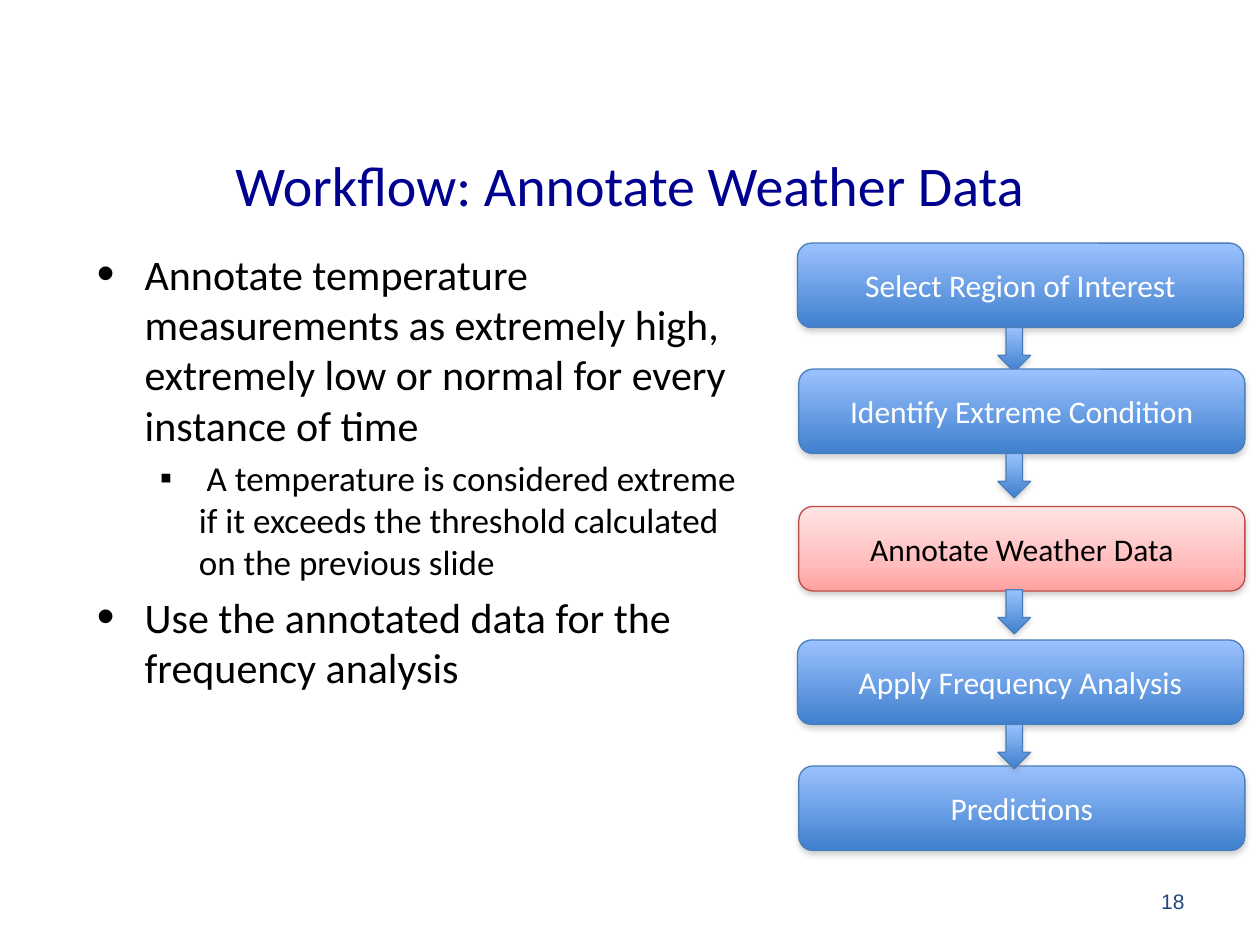
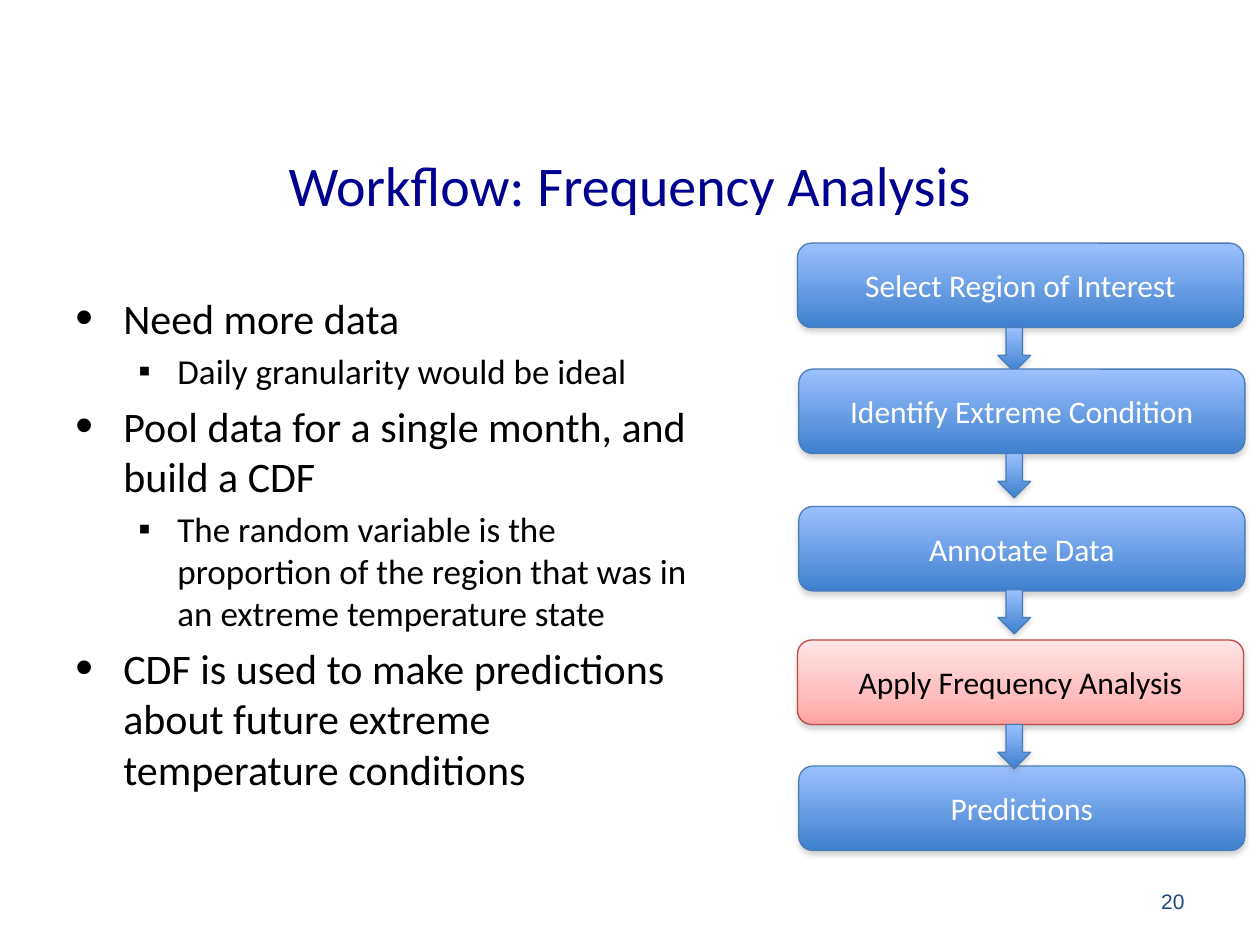
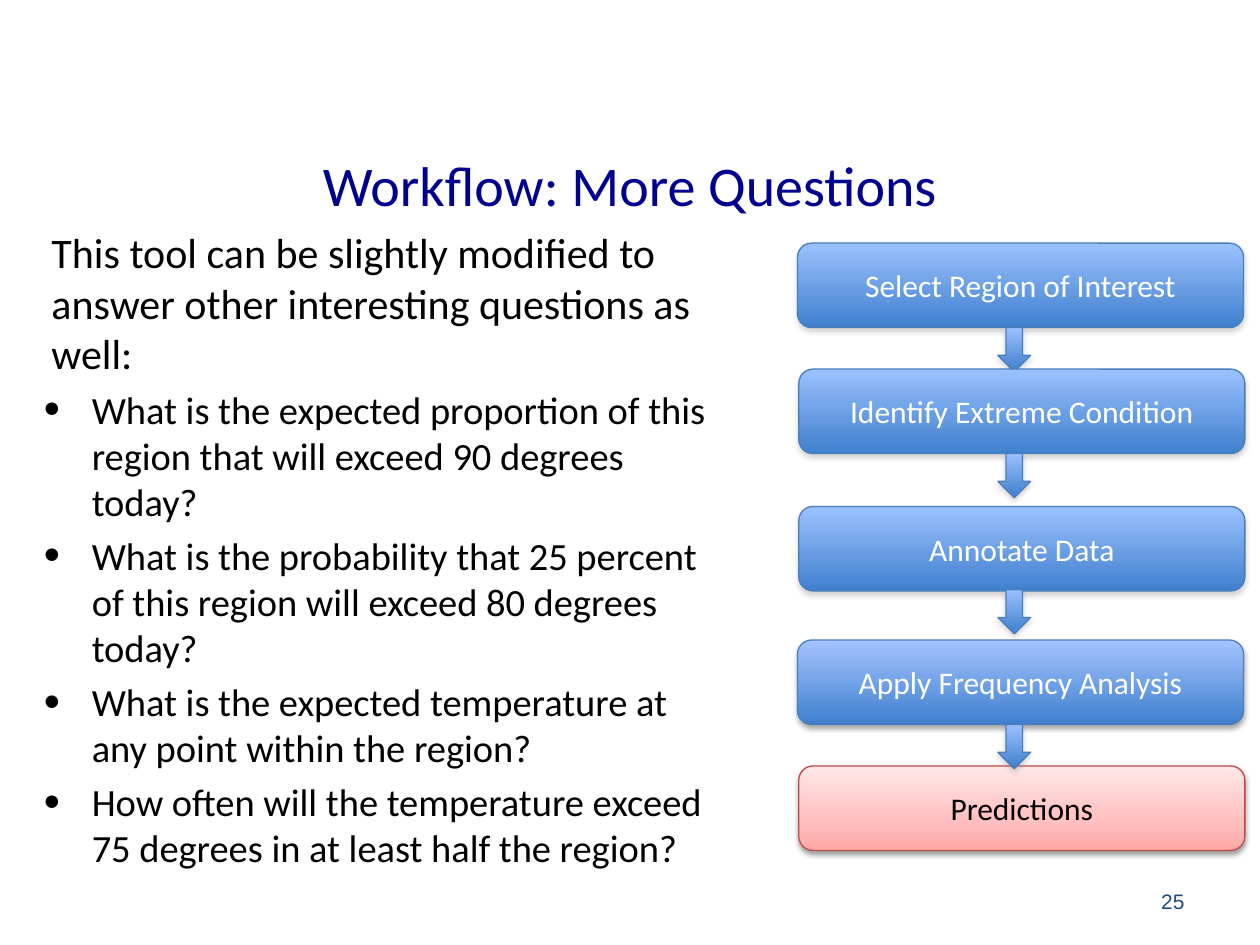
import pptx
import pptx.dml.color
import pptx.enum.shapes
import pptx.enum.text
import pptx.oxml
import pptx.oxml.ns
import pptx.util

Inches = pptx.util.Inches
Kind = pptx.enum.shapes.MSO_SHAPE
Align = pptx.enum.text.PP_ALIGN
Anchor = pptx.enum.text.MSO_ANCHOR


class Theme:
    font = "Calibri"
    num_font = "Arial"
    title, num, text, light = "000090", "1F497D", "000000", "FFFFFF"
    title_size, num_size, step_size = 32, 12, 18
    # Each look: gradient stops from top to bottom, line, label, shadow colour, strength and drop
    looks = {
        "blue": ([(0, "9BC1FF"), (100, "3F80CD")], "4A7EBB", light, "808080", 35, 1.8),
        "red": ([(0, "FFE5E5"), (65, "FFBEBD"), (100, "FFA2A1")], "BE4B48", text, "808080", 38, 1.6),
        "deep": ([(0, "A4C4FF"), (100, "3F80CE")], "4B7EBC", light, "000000", 35, 1.8),
        "rose": ([(0, "FFE7E7"), (65, "FFC0BF"), (100, "FFA6A5")], "BF4C48", text, "000000", 38, 1.6),
    }
    # Each level: type size, left indent, hanging indent, bullet, bullet size in percent
    levels = {
        "lead": (24, 0.06, 0, "", 100),
        "main": (24, 0.38, 0.38, "•", 120),
        "ask": (22, 0.38, 0.38, "•", 120),
        "sub": (20, 0.81, 0.31, "▪", 100),
    }


def write(frame, text, size=18, color=Theme.text, font=Theme.font, align=Align.LEFT,
          anchor=Anchor.MIDDLE, left=0, hang=0, mark="", scale=100, gap=0):
    """Add one paragraph to the frame, using its empty first one if there is one."""
    frame.word_wrap = True
    frame.vertical_anchor = anchor
    para = frame.add_paragraph() if frame.text else frame.paragraphs[0]
    para.alignment = align
    para.space_before = pptx.util.Pt(gap)
    run = para.add_run()
    run.text = text
    run.font.size = pptx.util.Pt(size)
    run.font.name = font
    run.font.color.rgb = pptx.dml.color.RGBColor.from_string(color)
    props = para._p.get_or_add_pPr()
    props.set("marL", str(Inches(left)))
    props.set("indent", str(-Inches(hang)))
    if mark:
        for tag, key, value in (("buSzPct", "val", scale * 1000),
                                ("buFont", "typeface", Theme.num_font),
                                ("buChar", "char", mark)):
            props.append(pptx.oxml.parse_xml(
                f'<a:{tag} {pptx.oxml.ns.nsdecls("a")} {key}="{value}"/>'))


def block(slide, kind, left, top, width, height, look):
    """Add a shape with the gradient, line and soft shadow of a look."""
    stops, edge, _, shade, alpha, drop = Theme.looks[look]
    shape = slide.shapes.add_shape(kind, Inches(left), Inches(top), Inches(width), Inches(height))
    names = pptx.oxml.ns.nsdecls("a")
    marks = "".join(f'<a:gs pos="{at * 1000}"><a:srgbClr val="{color}"/></a:gs>'
                    for at, color in stops)
    props = shape._element.spPr
    props.insert(2, pptx.oxml.parse_xml(
        f'<a:gradFill {names} rotWithShape="1"><a:gsLst>{marks}</a:gsLst>'
        '<a:lin ang="5400000" scaled="0"/></a:gradFill>'))
    shape.line.color.rgb = pptx.dml.color.RGBColor.from_string(edge)
    shape.line.width = pptx.util.Pt(0.75)
    shape.shadow.inherit = False
    props.find(pptx.oxml.ns.qn("a:effectLst")).append(pptx.oxml.parse_xml(
        f'<a:outerShdw {names} blurRad="{pptx.util.Pt(3.1)}" dist="{pptx.util.Pt(drop)}" '
        f'dir="5400000" rotWithShape="0"><a:srgbClr val="{shade}">'
        f'<a:alpha val="{alpha * 1000}"/></a:srgbClr></a:outerShdw>'))
    return shape


# Left and top of each step, and top of the arrow drawn after it
steps = [(6.33, 1.93, 2.6), (6.34, 2.93, 3.6), (6.34, 4.02, 4.68),
         (6.33, 5.08, None), (6.34, 6.08, 5.75)]

pages = [
    {
        "title": "Workflow: Annotate Weather Data", "num": "18",
        "third": "Annotate Weather Data", "looks": ["blue", "blue", "red", "blue", "blue"],
        "box": (0.67, 1.92, 5.33, 5.23),
        "body": [
            ("main", "Annotate temperature measurements as extremely high, extremely low "
                     "or normal for every instance of time"),
            ("sub", " A temperature is considered extreme if it exceeds the threshold "
                    "calculated on the previous slide"),
            ("main", "Use the annotated data for the frequency analysis"),
        ],
    },
    {
        "title": "Workflow: Frequency Analysis", "num": "20",
        "third": "Annotate Data", "looks": ["blue", "blue", "blue", "red", "blue"],
        "box": (0.5, 2.27, 5.08, 4.82),
        "body": [
            ("main", "Need more data"),
            ("sub", "Daily granularity would be ideal"),
            ("main", "Pool data for a single month, and build a CDF"),
            ("sub", "The random variable is the proportion of the region that was in "
                    "an extreme temperature state"),
            ("main", "CDF is used to make predictions about future extreme "
                     "temperature conditions"),
        ],
    },
    {
        "title": "Workflow: More Questions", "num": "25",
        "third": "Annotate Data", "looks": ["blue", "blue", "blue", "deep", "rose"],
        "box": (0.25, 1.75, 5.58, 5.42),
        "body": [
            ("lead", "This tool can be slightly modified to answer other interesting "
                     "questions as well:"),
            ("ask", "What is the expected proportion of this region that will exceed "
                    "90 degrees today?"),
            ("ask", "What is the probability that 25 percent of this region will exceed "
                    "80 degrees today?"),
            ("ask", "What is the expected temperature at any point within the region?"),
            ("ask", "How often will the temperature exceed 75 degrees in at least half "
                    "the region?"),
        ],
    },
]

deck = pptx.Presentation()
deck.slide_width, deck.slide_height = Inches(10), Inches(7.5)

for page in pages:
    slide = deck.slides.add_slide(deck.slide_layouts[6])
    title, body, num = [
        slide.shapes.add_textbox(*map(Inches, box)).text_frame
        for box in ((0.5, 0.92, 9, 1.08), page["box"], (7.17, 6.95, 2.33, 0.4))]
    write(title, page["title"], size=Theme.title_size, color=Theme.title, align=Align.CENTER)
    write(num, page["num"], size=Theme.num_size, color=Theme.num, font=Theme.num_font,
          align=Align.RIGHT)
    for level, text in page["body"]:
        size, left, hang, mark, scale = Theme.levels[level]
        write(body, text, size=size, anchor=Anchor.TOP, left=left, hang=hang,
              mark=mark, scale=scale, gap=size * 0.2)

    labels = ["Select Region of Interest", "Identify Extreme Condition", page["third"],
              "Apply Frequency Analysis", "Predictions"]
    for (left, top, arrow), label, look in zip(steps, labels, page["looks"]):
        step = block(slide, Kind.ROUNDED_RECTANGLE, left, top, 3.54, 0.67, look)
        write(step.text_frame, label, size=Theme.step_size, color=Theme.looks[look][2],
              align=Align.CENTER)
        if arrow:
            block(slide, Kind.DOWN_ARROW, 7.92, arrow, 0.26, 0.35, "blue")

deck.save("out.pptx")
